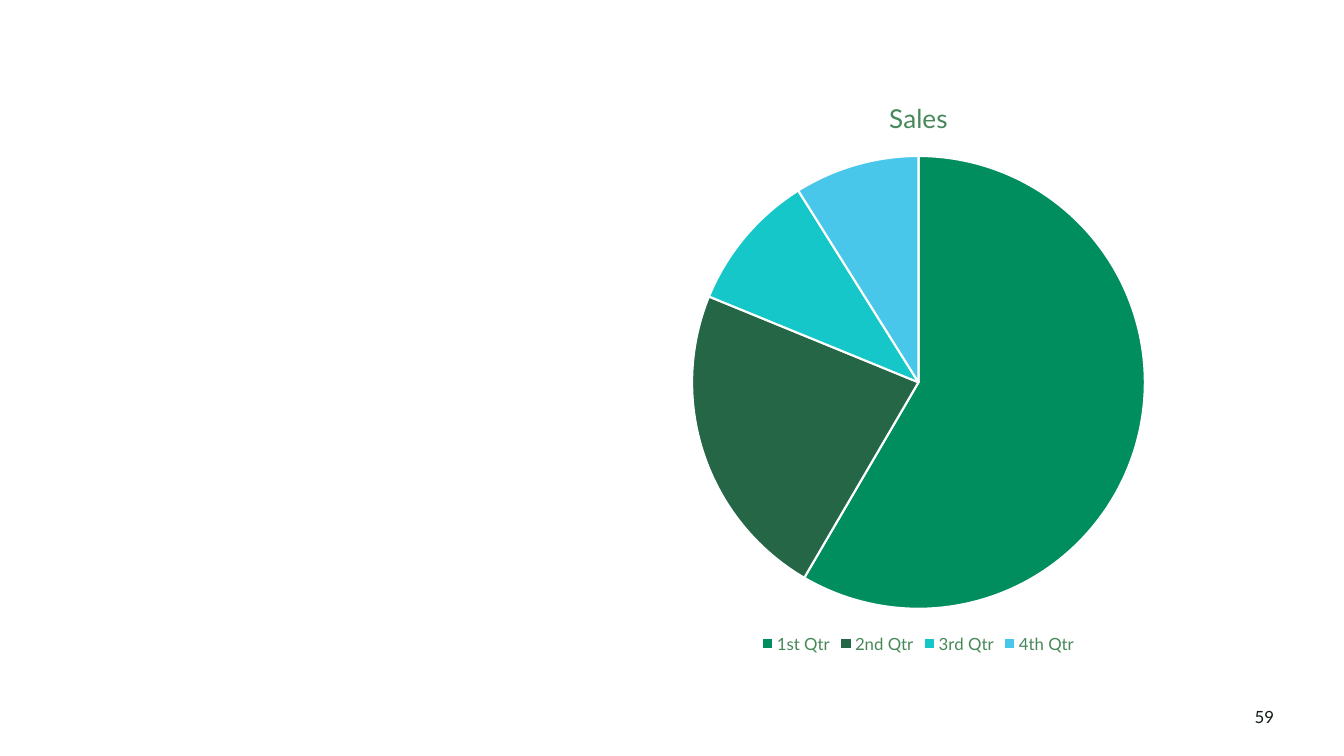
from pptx import Presentation
from pptx import util as u
from pptx.chart.data import CategoryChartData
from pptx.dml.color import RGBColor
from pptx.enum import chart as ch, text

PX = 914400 / 100.8
FONT = "Lato"
COLORS = {
    "ink": "0F1D13",
    "label": "478859",
    "edge": "FFFFFF",
    "1st Qtr": "008E5E",
    "2nd Qtr": "246646",
    "3rd Qtr": "15C7C9",
    "4th Qtr": "49C7EB",
}
SALES = {"1st Qtr": 59, "2nd Qtr": 23, "3rd Qtr": 10, "4th Qtr": 9}


def scale(*sizes):
    """Turn px lengths into EMU."""
    return [u.Emu(round(size * PX)) for size in sizes]


def color(name):
    return RGBColor.from_string(COLORS[name])


def style(font, size, name):
    font.name = FONT
    font.size = u.Pt(size)
    font.bold = False
    font.color.rgb = color(name)


def add_pie(slide, title, sales, box):
    data = CategoryChartData()
    data.categories = list(sales)
    data.add_series(title, list(sales.values()))
    frame = slide.shapes.add_chart(ch.XL_CHART_TYPE.PIE, *scale(*box), data)
    chart = frame.chart
    style(chart.font, 10, "ink")

    chart.has_title = True
    head = chart.chart_title
    head.include_in_layout = False
    run = head.text_frame.paragraphs[0].add_run()
    run.text = title
    style(run.font, 18.6, "label")

    chart.has_legend = True
    chart.legend.position = ch.XL_LEGEND_POSITION.BOTTOM
    chart.legend.include_in_layout = False
    style(chart.legend.font, 12, "label")

    plot = chart.plots[0]
    plot.vary_by_categories = True
    for index, quarter in enumerate(sales):
        form = plot.series[0].points[index].format
        form.fill.solid()
        form.fill.fore_color.rgb = color(quarter)
        form.line.color.rgb = color("edge")
        form.line.width = u.Pt(1.5)


def add_number(slide, number, box):
    frame = slide.shapes.add_textbox(*scale(*box)).text_frame
    frame.word_wrap = True
    frame.vertical_anchor = text.MSO_ANCHOR.MIDDLE
    line = frame.paragraphs[0]
    line.alignment = text.PP_ALIGN.RIGHT
    run = line.add_run()
    run.text = number
    style(run.font, 12, "ink")


def main():
    deck = Presentation()
    deck.slide_width, deck.slide_height = scale(1344, 756)
    slide = deck.slides.add_slide(deck.slide_layouts[6])
    add_number(slide, "59", (1234, 697, 50, 40))
    add_pie(slide, "Sales", SALES, (551, 78, 735, 580))
    deck.save("out.pptx")


if __name__ == "__main__":
    main()
